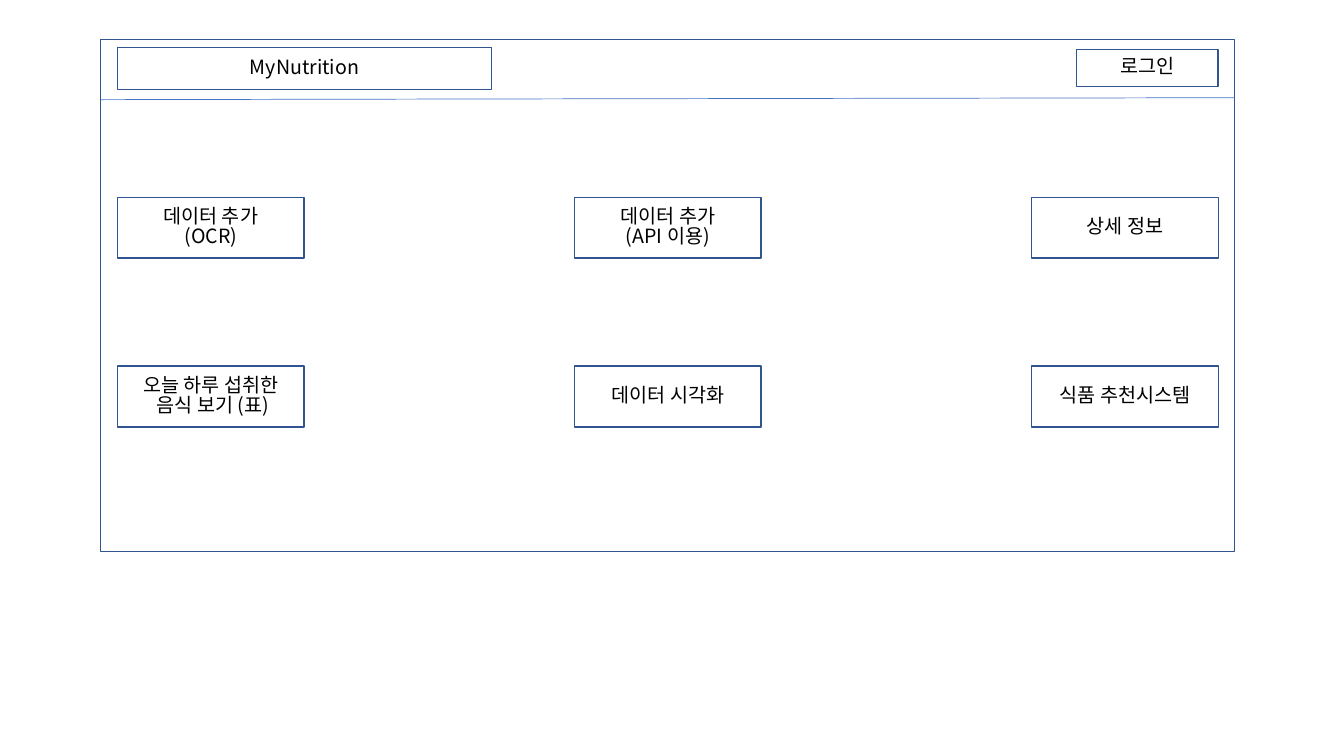
from dataclasses import dataclass

from lxml.etree import SubElement
from pptx import Presentation
from pptx.dml.color import RGBColor
from pptx.enum.shapes import MSO_CONNECTOR, MSO_SHAPE
from pptx.enum.text import MSO_ANCHOR, PP_ALIGN
from pptx.oxml.ns import qn
from pptx.util import Pt

FONT = "Noto Sans CJK KR"
BORDER, DIVIDER, INK = "325491", "4472C4", "000000"
TEXT_FORMAT = {"name": FONT, "size": Pt(14)}
PARAGRAPH_FORMAT = {"alignment": PP_ALIGN.CENTER, "line_spacing": 0.85}


@dataclass
class Box:
    left: float
    top: float
    width: float
    height: float
    lines: tuple[str, ...] = ()


def color(value: str) -> RGBColor:
    return RGBColor.from_string(value)


def apply(target, values: dict) -> None:
    for name, value in values.items():
        setattr(target, name, value)


def draw_box(slide, box: Box) -> None:
    sp = slide.shapes.add_shape(MSO_SHAPE.RECTANGLE, Pt(box.left), Pt(box.top),
                                Pt(box.width), Pt(box.height))
    sp.shadow.inherit = False
    sp.fill.background()
    sp.line.color.rgb = color(BORDER)
    sp.line.width = Pt(1)
    tf = sp.text_frame
    apply(tf, {"word_wrap": True, "vertical_anchor": MSO_ANCHOR.MIDDLE})
    for i, line in enumerate(box.lines):
        p = tf.add_paragraph() if i else tf.paragraphs[0]
        p.text = line  # "\v" becomes a line break
        apply(p, PARAGRAPH_FORMAT)
        for r in p.runs:
            apply(r.font, TEXT_FORMAT)
            r.font.color.rgb = color(INK)
            SubElement(r.font._element, qn("a:ea"), typeface=FONT)


def draw_divider(slide, x1: float, y1: float, x2: float, y2: float) -> None:
    line = slide.shapes.add_connector(MSO_CONNECTOR.STRAIGHT,
                                      Pt(x1), Pt(y1), Pt(x2), Pt(y2))
    line.line.color.rgb = color(DIVIDER)
    line.line.width = Pt(0.5)
    SubElement(line._element.spPr, qn("a:effectLst"))


prs = Presentation()
prs.slide_width, prs.slide_height = Pt(960), Pt(540)
slide = prs.slides.add_slide(prs.slide_layouts[6])

# Page frame
page = Box(72, 28.2, 810, 365.6)
draw_box(slide, page)

# Header: title, login button and divider
draw_box(slide, Box(84, 33.8, 267.2, 30.2, ("MyNutrition",)))
draw_box(slide, Box(769, 35.2, 101, 26.4, ("로그인",)))
draw_divider(slide, page.left, 71.2, page.left + page.width, 69.8)

# Menu buttons
MENU = [
    [("데이터 추가", "(OCR)"), ("데이터 추가", "(API 이용)"), ("상세 정보",)],
    [("오늘 하루 섭취한\v 음식 보기 (표)",), ("데이터 시각화",), ("식품 추천시스템",)],
]
MENU_LEFT, MENU_TOP = 84, 141
COLUMN_STEP, ROW_STEP = 326.5, 120.5
for row, labels in enumerate(MENU):
    for column, lines in enumerate(labels):
        draw_box(slide, Box(MENU_LEFT + column * COLUMN_STEP,
                            MENU_TOP + row * ROW_STEP, 133.2, 43.4, lines))

prs.save("out.pptx")
